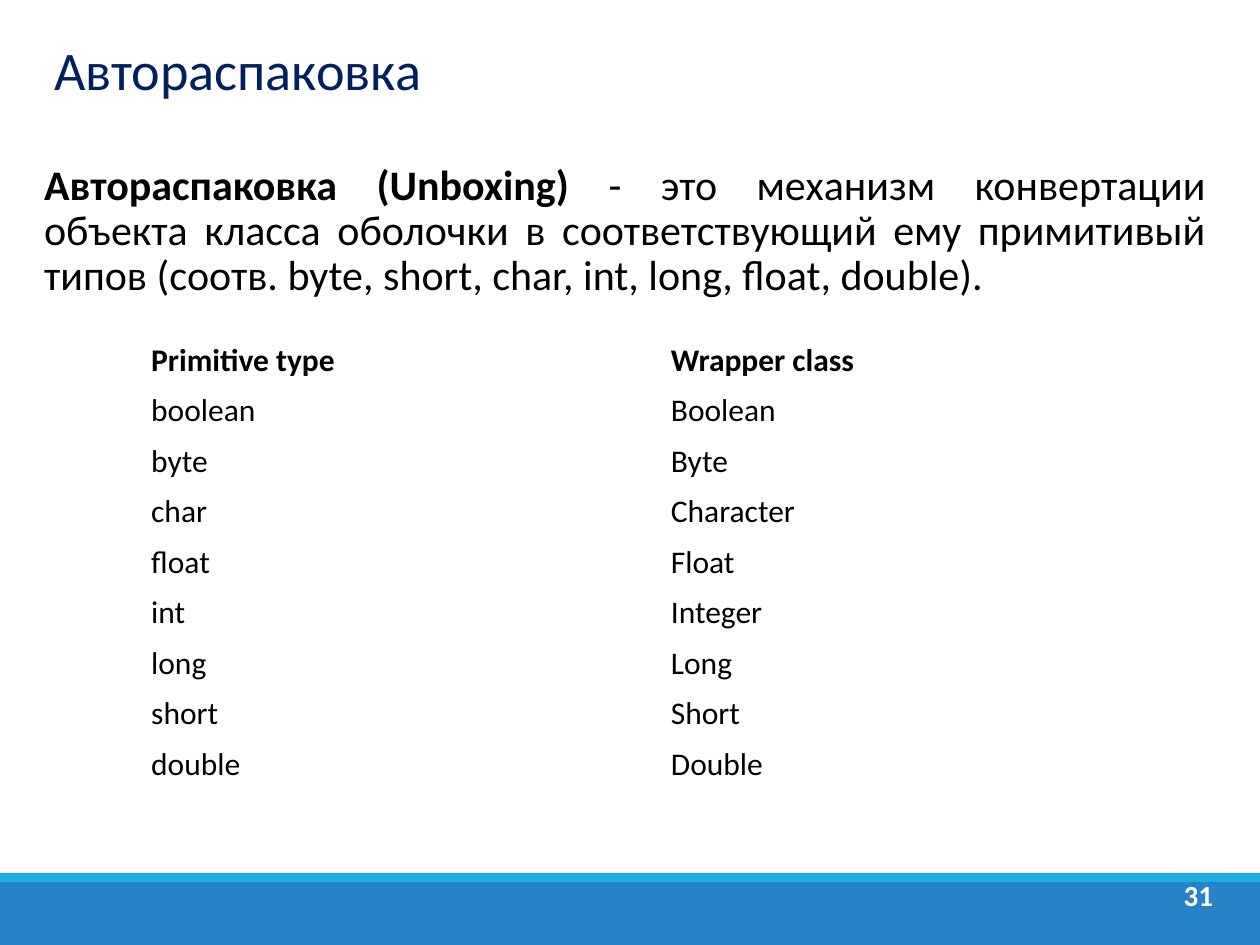
import pptx
import pptx.util
import pptx.dml.color
import pptx.enum.shapes
import pptx.enum.text
import pptx.oxml.xmlchemy
import lxml.etree

Inches = pptx.util.Inches
ALIGN = pptx.enum.text.PP_ALIGN
ANCHOR = pptx.enum.text.MSO_ANCHOR
COLORS = {"title": "002060", "text": "000000", "number": "FFFFFF",
          "bar": "2683C6", "stripe": "1CADE4"}
TYPES = [("Primitive type", "Wrapper class"), ("boolean", "Boolean"),
         ("byte", "Byte"), ("char", "Character"), ("float", "Float"),
         ("int", "Integer"), ("long", "Long"), ("short", "Short"),
         ("double", "Double")]


def rgb(name):
    """Return the named colour."""
    return pptx.dml.color.RGBColor.from_string(COLORS[name])


def place(s, box):
    """Move a shape to a box given in inches."""
    s.left, s.top, s.width, s.height = map(Inches, box)


def write(tf, *texts, size=18, color="text", bold=(False,), align=ALIGN.LEFT,
          spacing=0.9, anchor=ANCHOR.TOP):
    """Fill a text frame with one paragraph, a run for each text."""
    tf.word_wrap = True
    tf.auto_size = pptx.enum.text.MSO_AUTO_SIZE.NONE
    tf.vertical_anchor = anchor
    p = tf.paragraphs[0]
    p.alignment, p.line_spacing = align, spacing
    p.space_before = pptx.util.Pt(0)
    for text, heavy in zip(texts, bold):
        r = p.add_run()
        r.text = text
        r.font.name, r.font.size = "Calibri", pptx.util.Pt(size)
        r.font.bold, r.font.color.rgb = heavy, rgb(color)
    return p


def add_title(slide, box):
    """Put the heading in the title placeholder."""
    s = slide.shapes.title
    place(s, box)
    write(s.text_frame, "Автораспаковка", size=31, color="title",
          spacing=0.8, anchor=ANCHOR.MIDDLE)


def add_definition(slide, box):
    """Put the definition in the body placeholder without a bullet."""
    s = slide.placeholders[1]
    place(s, box)
    p = write(s.text_frame, "Автораспаковка (Unboxing) ",
              "- это механизм конвертации объекта класса оболочки в "
              "соответствующий ему примитивый типов (соотв. byte, short, "
              "char, int, long, float, double).",
              size=24, bold=(True, False), align=ALIGN.JUSTIFY)
    pPr = p._p.get_or_add_pPr()
    pPr.set("marL", "0")
    pPr.set("indent", "0")
    lxml.etree.SubElement(pPr, pptx.oxml.ns.qn("a:buNone"))


def add_types(slide, box):
    """Add the table of primitive types and wrapper classes."""
    table = slide.shapes.add_table(len(TYPES), 2, *map(Inches, box)).table
    table.first_row = table.horz_banding = False
    for i, row in enumerate(TYPES):
        for j, text in enumerate(row):
            cell = table.cell(i, j)
            cell.fill.background()
            cell.vertical_anchor = ANCHOR.MIDDLE
            p = write(cell.text_frame, text, bold=(i == 0,), spacing=0.83,
                      anchor=None)


def add_footer(slide, box):
    """Add the two bars and the slide number at the foot."""
    left, top, width, height = box
    stripe = 0.07
    bars = [("bar", top + stripe, height - stripe), ("stripe", top, stripe)]
    for color, y, h in bars:
        s = slide.shapes.add_shape(pptx.enum.shapes.MSO_SHAPE.RECTANGLE,
                                   *map(Inches, (left, y, width, h)))
        s.shadow.inherit = False
        s.fill.solid()
        s.fill.fore_color.rgb = rgb(color)
        s.line.fill.background()
    number = (left + width - 0.73, top + 0.02, 0.48, 0.4)
    s = slide.shapes.add_textbox(*map(Inches, number))
    write(s.text_frame, "31", size=16.6, color="number", bold=(True,),
          align=ALIGN.CENTER)


def main():
    """Build the slide and save it."""
    prs = pptx.Presentation()
    prs.slide_width, prs.slide_height = Inches(10), Inches(7.5)
    slide = prs.slides.add_slide(prs.slide_layouts[1])
    add_footer(slide, (0, 6.93, 10, 0.57))
    add_title(slide, (0.33, 0.28, 9.02, 0.63))
    add_definition(slide, (0.25, 1.25, 9.42, 5.6))
    add_types(slide, (1.1, 2.67, 8.25, 3.61))
    prs.save("out.pptx")


if __name__ == "__main__":
    main()
